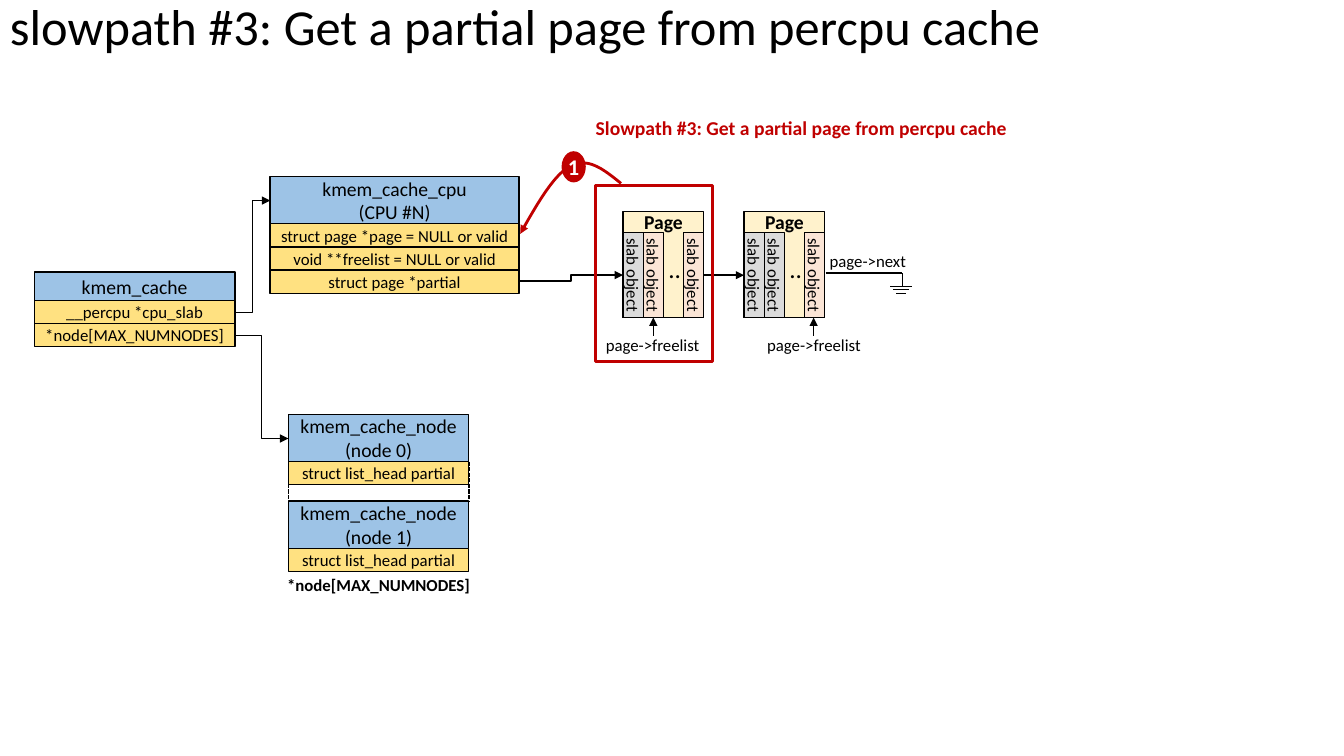
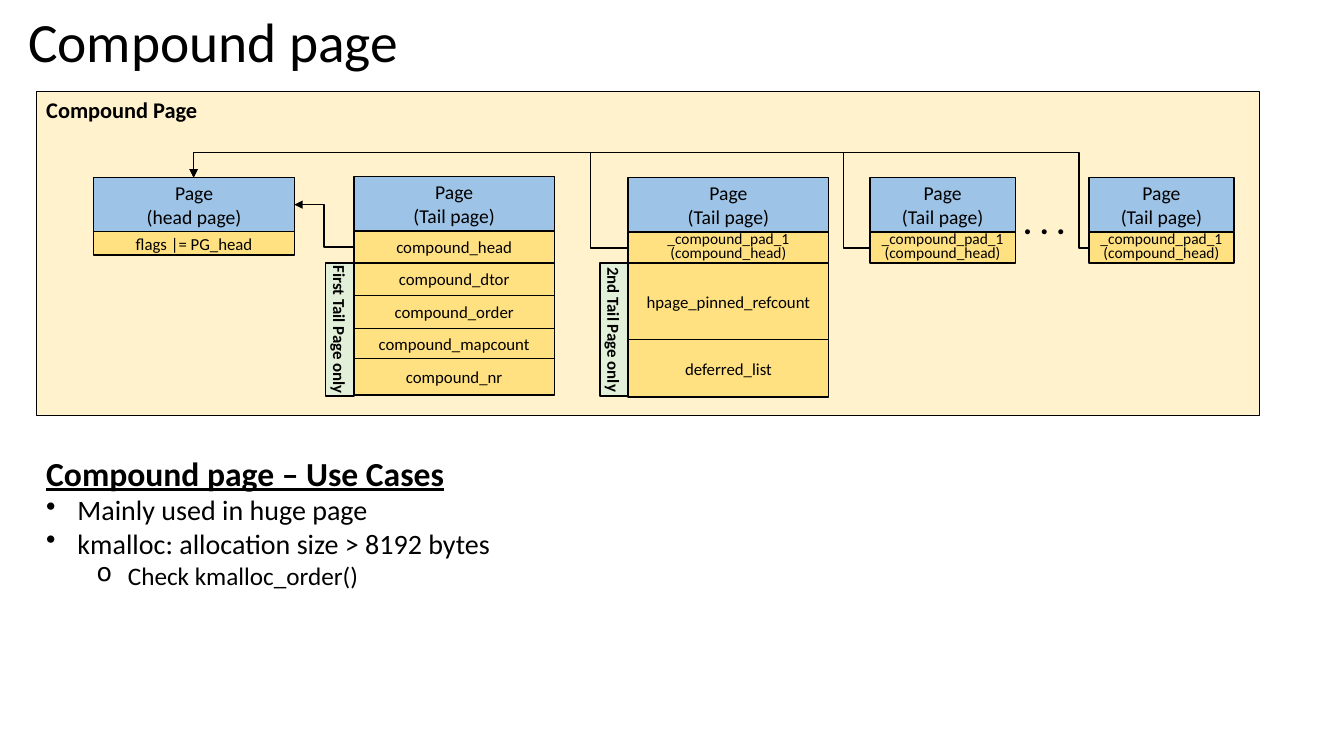
import pptx
import pptx.dml.color
import pptx.enum.dml
import pptx.enum.shapes
import pptx.enum.text
import pptx.oxml
import pptx.oxml.ns
import pptx.util
from lxml import etree
from dataclasses import dataclass

Inches = pptx.util.Inches
Align = pptx.enum.text.PP_ALIGN
Anchor = pptx.enum.text.MSO_ANCHOR
Preset = pptx.enum.shapes.MSO_SHAPE
Connector = pptx.enum.shapes.MSO_CONNECTOR
rgb = pptx.dml.color.RGBColor.from_string
qn = pptx.oxml.ns.qn


@dataclass(frozen=True)
class Theme:
    font: str = "Calibri"
    black: str = "000000"
    white: str = "FFFFFF"
    red: str = "C00000"
    header: str = "9DC3E6"
    field: str = "FFE181"
    page: str = "FFF2CC"
    used: str = "DBDBDB"
    free: str = "FBE5D6"
    note: str = "E2F0D9"
    title_size: float = 36
    large_title_size: float = 39.6
    header_size: float = 14
    body_size: float = 12
    small_size: float = 11
    thin: float = 1
    thick: float = 2


theme = Theme()


def add_text(slide, text, box, preset=None, fill=None, outline=theme.black,
             line_width=theme.thin, rotation=0, insets=(0.1, 0.05), anchor=None, **format):
    """Add a shape, or a text box when preset is None; text is a string or (line, format) pairs."""
    box = [Inches(length) for length in box]
    if preset is None:
        shape = slide.shapes.add_textbox(*box)
    else:
        shape = slide.shapes.add_shape(preset, *box)
        shape.shadow.inherit = False
        if fill:
            shape.fill.solid()
            shape.fill.fore_color.rgb = rgb(fill)
        else:
            shape.fill.background()
        if outline:
            shape.line.color.rgb = rgb(outline)
            shape.line.width = pptx.util.Pt(line_width)
        else:
            shape.line.fill.background()
    shape.rotation = rotation
    frame = shape.text_frame
    frame.word_wrap = True
    frame.margin_left = frame.margin_right = Inches(insets[0])
    frame.margin_top = frame.margin_bottom = Inches(insets[1])
    frame.vertical_anchor = anchor or (Anchor.MIDDLE if preset else Anchor.TOP)
    if isinstance(text, str):
        text = [(line, {}) for line in text.split("\n")]
    defaults = dict(size=theme.body_size, color=theme.black, bold=False, underline=False,
                    align=Align.CENTER if preset else Align.LEFT,
                    spacing=None, bullet=None, indent=0, level=0)
    for index, (line, changes) in enumerate(text):
        style = {**defaults, **format, **changes}
        paragraph = frame.add_paragraph() if index else frame.paragraphs[0]
        paragraph.alignment = style["align"]
        paragraph.level = style["level"]
        if style["spacing"]:
            paragraph.line_spacing = style["spacing"]
        if style["bullet"]:
            properties = paragraph._p.get_or_add_pPr()
            properties.set("marL", str(Inches(style["indent"])))
            properties.set("indent", str(Inches(-0.31)))
            etree.SubElement(properties, qn("a:buChar"), char=style["bullet"])
        if line:
            run = paragraph.add_run()
            run.text = line
            run.font.name = theme.font
            run.font.size = pptx.util.Pt(style["size"])
            run.font.bold = style["bold"]
            run.font.underline = style["underline"]
            run.font.color.rgb = rgb(style["color"])
    return shape


def add_line(slide, *points, elbow=False, guides=None, arrow=False, dash=None,
             color=theme.black, width=theme.thin):
    """Join two points with a connector, or more points with an open outline."""
    points = [(Inches(x), Inches(y)) for x, y in points]
    if len(points) == 2:
        kind = Connector.ELBOW if elbow else Connector.STRAIGHT
        shape = slide.shapes.add_connector(kind, *points[0], *points[1])
    else:
        builder = slide.shapes.build_freeform(*points[0])
        builder.add_line_segments(points[1:], close=False)
        shape = builder.convert_to_shape()
        shape.fill.background()
    properties = shape._element.spPr
    if guides:
        properties.prstGeom.set("prst", "bentConnector4")
        properties.prstGeom.rewrite_guides(guides)
    transform = properties.xfrm
    if elbow and transform.flipH and transform.flipV:
        transform.flipH = transform.flipV = False
        transform.rot = 180.0
    shape.line.color.rgb = rgb(color)
    shape.line.width = pptx.util.Pt(width)
    if dash:
        shape.line.dash_style = dash
    if arrow:
        etree.SubElement(properties.find(qn("a:ln")), qn("a:tailEnd"), type="triangle")
    etree.SubElement(properties, qn("a:effectLst"))


presentation = pptx.Presentation()
presentation.slide_width = Inches(13.33)
presentation.slide_height = Inches(7.5)
blank = presentation.slide_layouts[6]
slowpath = presentation.slides.add_slide(blank)
compound = presentation.slides.add_slide(blank)

# Titles
for slide, title, box, size in [
    (slowpath, "slowpath #3: Get a partial page from percpu cache",
     (0, -0.09, 13.41, 0.75), theme.title_size),
    (compound, "Compound page", (0.18, 0.07, 11.5, 0.75), theme.large_title_size),
]:
    add_text(slide, title, box, size=size, anchor=Anchor.MIDDLE, spacing=0.9)

add_text(compound, "", (0.36, 0.91, 12.13, 3.21), Preset.RECTANGLE, theme.page)

# Structures: a header with its fields stacked below
row = 0.23
pad = ("_compound_pad_1\n(compound_head)", 0.31)
node_field = ("struct list_head partial", row)
structures = [
    (slowpath, 0.34, 2.7, 1.99, "kmem_cache", 0.28,
     [("__percpu *cpu_slab", row), ("*node[MAX_NUMNODES]", row)]),
    (slowpath, 2.68, 1.75, 2.47, "kmem_cache_cpu\n(CPU #N)", 0.47,
     [("struct page *page = NULL or valid", row), ("void **freelist = NULL or valid", row),
      ("struct page *partial", row)]),
    (slowpath, 2.86, 4.11, 1.79, "kmem_cache_node\n(node 0)", 0.47, [node_field]),
    (slowpath, 2.86, 4.97, 1.79, "kmem_cache_node\n(node 1)", 0.47, [node_field]),
    (compound, 0.93, 1.76, 1.99, "Page\n(head page)", 0.54, [("flags |= PG_head", row)]),
    (compound, 3.51, 1.75, 1.99, "Page\n(Tail page)", 0.54,
     [("compound_head", 0.32), ("compound_dtor", 0.32), ("compound_order", 0.33),
      ("compound_mapcount", 0.3), ("compound_nr", 0.36)]),
    (compound, 6.23, 1.76, 1.99, "Page\n(Tail page)", 0.54,
     [pad, ("hpage_pinned_refcount", 0.76), ("deferred_list", 0.57)]),
    (compound, 8.63, 1.76, 1.44, "Page\n(Tail page)", 0.54, [pad]),
    (compound, 10.8, 1.76, 1.44, "Page\n(Tail page)", 0.54, [pad]),
]
for slide, left, top, width, header, header_height, fields in structures:
    add_text(slide, header, (left, top, width, header_height), Preset.RECTANGLE,
             theme.header, insets=(0, 0.05), size=theme.header_size)
    top += header_height
    for field, height in fields:
        tight = dict(size=theme.small_size, spacing=pptx.util.Pt(10)) if "\n" in field else {}
        add_text(slide, field, (left, top, width, height), Preset.RECTANGLE, theme.field, **tight)
        top += height

# Slide 1: node array and links between structures
add_text(slowpath, "*node[MAX_NUMNODES]", (2.68, 5.65, 2.15, 0.3), bold=True, align=Align.CENTER)
for x in (2.86, 4.65):
    add_line(slowpath, (x, 4.58), (x, 4.97), dash=pptx.enum.dml.MSO_LINE.SQUARE_DOT)
for start, end in [((2.33, 3.1), (2.68, 1.99)), ((2.33, 3.33), (2.86, 4.35)),
                   ((5.15, 2.79), (6.18, 2.73))]:
    add_line(slowpath, start, end, elbow=True, arrow=True)

# Slide 1: partial pages, each with its slab objects and freelist pointer
object_length, object_width = 0.84, 0.2
for left, second_fill, pointer_x, label_left in [
    (6.18, theme.free, 6.48, 5.91),
    (7.38, theme.used, 8.07, 7.51),
]:
    add_text(slowpath, "", (left, 2.1, 0.8, 1.05), Preset.RECTANGLE, theme.page)
    for column, fill in [(0, theme.used), (1, second_fill), (3, theme.free)]:
        center = left + (column + 0.5) * object_width
        add_text(slowpath, "slab object",
                 (center - object_length / 2, 2.63, object_length, object_width),
                 Preset.RECTANGLE, fill, rotation=90, insets=(0.05, 0))
    add_text(slowpath, "..", (left + 0.35, 2.46, 0.44, 0.4), size=18)
    add_text(slowpath, "Page", (left, 2.03, 0.8, 0.34), size=theme.header_size,
             bold=True, align=Align.CENTER)
    add_line(slowpath, (pointer_x, 3.33), (pointer_x, 3.15), arrow=True)
    add_text(slowpath, "page->freelist", (label_left, 3.27, 1.21, 0.3))
add_line(slowpath, (6.98, 2.73), (7.38, 2.73), arrow=True)

# Slide 1: end of the page list, drawn as a ground symbol
add_text(slowpath, "page->next", (8.13, 2.44, 1.08, 0.3))
add_line(slowpath, (8.19, 2.71), (8.95, 2.71))
add_line(slowpath, (8.95, 2.71), (8.95, 2.84))
for y, half_width in [(2.84, 0.11), (2.87, 0.08), (2.91, 0.05)]:
    add_line(slowpath, (8.94 - half_width, y), (8.94 + half_width, y))

# Slide 1: highlighted step
add_text(slowpath, "Slowpath #3: Get a partial page from percpu cache", (5.81, 1.1, 4.39, 0.34),
         size=theme.header_size, color=theme.red, bold=True)
add_text(slowpath, "", (5.91, 1.84, 1.16, 1.75), Preset.RECTANGLE,
         outline=theme.red, line_width=theme.thick)
bezier_curves = [
    [(6.16, 1.82), (6, 1.69), (5.84, 1.56), (5.67, 1.64)],
    [(5.67, 1.64), (5.5, 1.72), (5.33, 2.02), (5.16, 2.32)],
]
steps = 12
curve_points = [bezier_curves[0][0]]
for curve in bezier_curves:
    for step in range(1, steps + 1):
        t = step / steps
        weights = ((1 - t) ** 3, 3 * t * (1 - t) ** 2, 3 * t ** 2 * (1 - t), t ** 3)
        curve_points.append(tuple(sum(weight * point[axis] for weight, point in zip(weights, curve))
                                  for axis in (0, 1)))
add_line(slowpath, *curve_points, arrow=True, color=theme.red, width=theme.thick)
add_text(slowpath, "1", (5.57, 1.5, 0.24, 0.31), Preset.OVAL, theme.red, outline=None,
         insets=(0, 0), size=16, color=theme.white, bold=True)

# Slide 2: labels and links back to the head page
add_text(compound, "Compound Page", (0.36, 0.9, 1.72, 0.37), size=16, bold=True)
add_text(compound, ". . .", (10.05, 1.94, 0.67, 0.5), size=24, bold=True)
for label, left in [("First Tail Page only", 2.71), ("2nd Tail Page only", 5.43)]:
    add_text(compound, label, (left, 3.13, 1.32, 0.28), Preset.RECTANGLE, theme.note,
             rotation=90, insets=(0, 0), bold=True)
add_line(compound, (3.51, 2.45), (2.92, 2.03), elbow=True, arrow=True)
head_x, head_y, pad_y, bus_y = 1.92, 1.76, 2.46, 1.51
for tail_x, turn_x in [(6.23, 5.86), (8.63, 8.37), (10.8, 10.7)]:
    across = (tail_x - turn_x) / (tail_x - head_x)
    upward = (pad_y - bus_y) / (pad_y - head_y)
    add_line(compound, (tail_x, pad_y), (head_x, head_y), elbow=True, arrow=True,
             guides=[("adj1", round(across * 100000)), ("adj2", round(upward * 100000))])

# Slide 2: use cases
add_text(compound, [
    ("Compound page – Use Cases", dict(size=24, bold=True, underline=True)),
    ("Mainly used in huge page", dict(bullet="•", indent=0.31)),
    ("kmalloc: allocation size > 8192 bytes", dict(bullet="•", indent=0.31)),
    ("Check kmalloc_order()", dict(bullet="o", indent=0.81, level=1, size=18)),
], (0.36, 4.44, 4.95, 1.48), size=20)

presentation.save("out.pptx")
